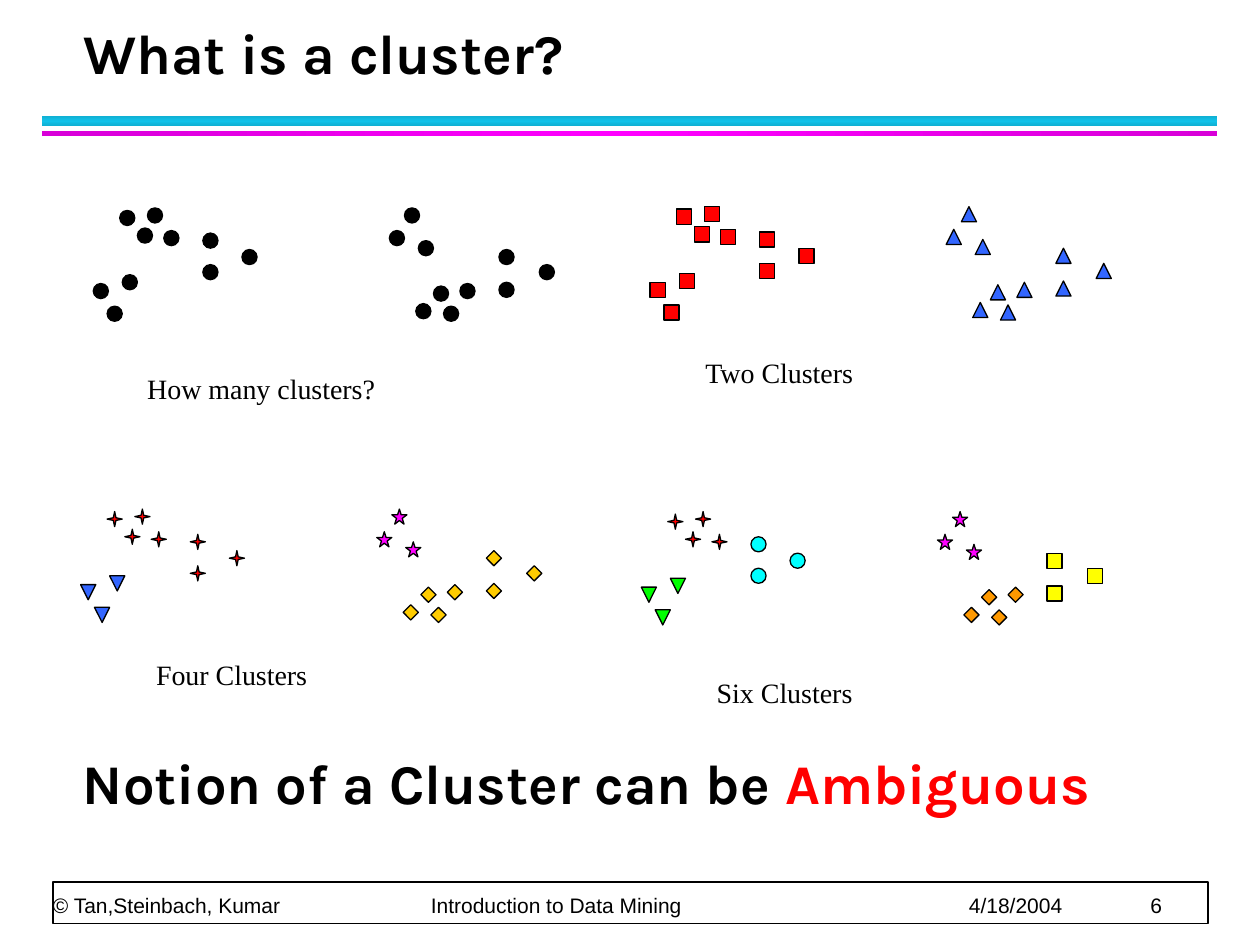
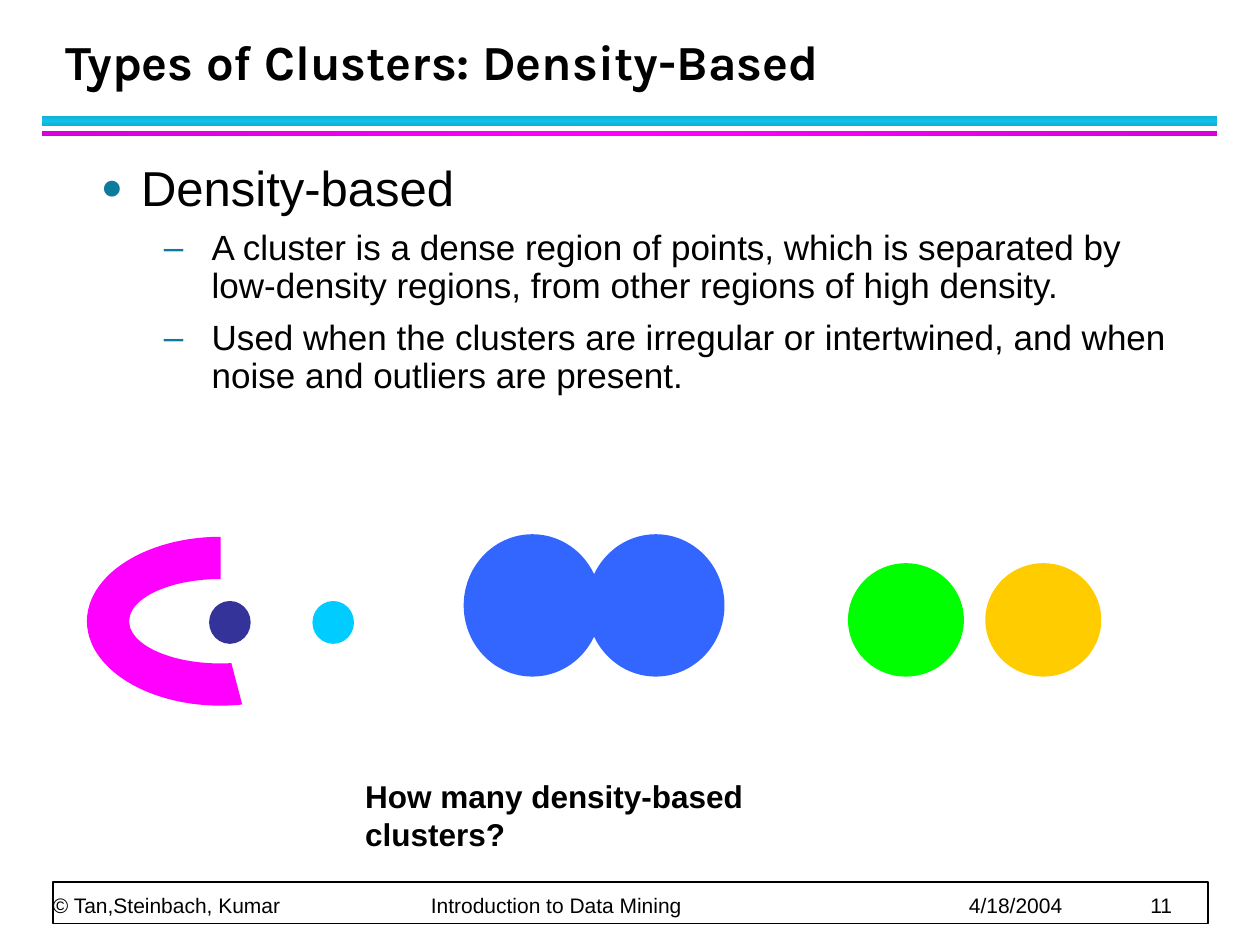
from copy import deepcopy

from lxml import etree
from pptx import Presentation
from pptx import util as u
from pptx.dml.color import RGBColor
from pptx.enum import shapes, text
from pptx.oxml.ns import qn

SCALE = 9144

THEME = {
    "black": "000000", "white": "FFFFFF", "red": "FF0000", "blue": "3366FF",
    "magenta": "FF00FF", "gold": "FFCC00", "orange": "FF9900", "yellow": "FFFF00",
    "green": "00FF00", "cyan": "00FFFF", "sky": "00CCFF", "navy": "333399",
    "bullet": "0C7B9C",
    "bands": {"cyan": ("10AFD2", "12C2E9"), "magenta": ("D800D8", "FF00FF")},
    "heading": {"name": "Karla", "size": 32, "bold": True},
    "small heading": {"name": "Karla", "size": 28, "bold": True},
    "caption": {"name": "Times New Roman", "size": 16},
    "question": {"name": "Arial", "size": 18, "bold": True},
    "footer": {"name": "Arial", "size": 12},
    "topic": {"name": "Arial", "size": 28, "bold": False},
    "detail": {"name": "Arial", "size": 20, "bold": False},
}

BANDS = [("cyan", (33, 92, 933, 8), 90), ("magenta", (33, 104, 933, 4), 0)]
FOOTER = ["© Tan,Steinbach, Kumar", "Introduction to Data Mining", "4/18/2004"]
FOOTER_STOPS = [300, 727, 871]

MARKER_SIZE = 12
POINT_SETS = {
    "left top": [(56, 18), (21, 2), (43, 0), (35, 16)],
    "left bottom": [(23, 53), (0, 60), (11, 78)],
    "left tail": [(87, 20), (118, 33), (87, 45)],
    "right bottom": [(291, 60), (256, 76), (278, 78), (270, 62)],
    "right top": [(258, 26), (235, 18), (247, 0)],
    "right tail": [(322, 59), (354, 45), (322, 33)],
}
KIND = shapes.MSO_SHAPE
DOT = (KIND.OVAL, "black", 0)
SQUARE = (KIND.RECTANGLE, "red", 0)
TRIANGLE = (KIND.ISOSCELES_TRIANGLE, "blue", 0)
SPARK = (KIND.STAR_4_POINT, "red", 0)
STAR = (KIND.STAR_5_POINT, "magenta", 0)
GOLD_DIAMOND = (KIND.DIAMOND, "gold", 0)
BLUE_EXTRACT = (KIND.FLOWCHART_EXTRACT, "blue", 180)
GREEN_TRIANGLE = (KIND.ISOSCELES_TRIANGLE, "green", 180)
CYAN_DOT = (KIND.OVAL, "cyan", 0)
ORANGE_DIAMOND = (KIND.DIAMOND, "orange", 0)
YELLOW_SQUARE = (KIND.RECTANGLE, "yellow", 0)

PANELS = [
    ("How many clusters?", (74, 165), (107, 290), [DOT] * 6),
    ("Four Clusters", (64, 404), (114, 517),
     [SPARK, BLUE_EXTRACT, SPARK, GOLD_DIAMOND, STAR, GOLD_DIAMOND]),
    ("Two Clusters", (516, 164), (550, 277), [SQUARE] * 3 + [TRIANGLE] * 3),
    ("Six Clusters", (509, 406), (559, 531),
     [SPARK, GREEN_TRIANGLE, CYAN_DOT, ORANGE_DIAMOND, STAR, YELLOW_SQUARE]),
]
CONCLUSION = [("Notion of a Cluster can be ", "black"), ("Ambiguous", "red")]

DENSITY_LIST = [
    (0, "Density-based"),
    (1, "A cluster is a dense region of points, which is separated by "
        "low-density regions, from other regions of high density."),
    (1, "Used when the clusters are irregular or intertwined, and when "
        "noise and outliers are present."),
]
LEVELS = [
    {"style": "topic", "indent": (32, -32), "before": 0, "bullet": "●", "percent": 75},
    {"style": "detail", "indent": (88, -38), "before": 8, "bullet": "–", "percent": 100},
]
REGIONS = [
    ("navy", (166, 477, 33, 34)), ("sky", (248, 477, 33, 34)),
    ("green", (673, 447, 92, 90)), ("gold", (782, 447, 92, 90)),
    ("blue", (368, 424, 109, 113)), ("blue", (466, 424, 109, 113)),
]
ARC_BOX = (108, 387, 134, 212)
ARC_ADJUSTMENTS = (99.247, 0.059, 0.25)


def px(value):
    return u.Emu(value * SCALE)


def rgb(value):
    return RGBColor.from_string(THEME.get(value, value))


def apply(target, values):
    for name, value in values.items():
        setattr(target, name, value)


def place(shape, box):
    apply(shape, dict(zip(("left", "top", "width", "height"), map(px, box))))


def add_run(paragraph, words, style, color="black"):
    run = paragraph.add_run()
    run.text = words
    apply(run.font, {**THEME[style], "size": u.Pt(THEME[style]["size"])})
    run.font.color.rgb = rgb(color)


def set_frame(shape, anchor, margins=(10, 5)):
    side, end = map(px, margins)
    apply(shape.text_frame, {
        "word_wrap": True, "auto_size": text.MSO_AUTO_SIZE.NONE,
        "vertical_anchor": anchor, "margin_left": side, "margin_right": side,
        "margin_top": end, "margin_bottom": end,
    })


def write_line(shape, runs, style, spacing=1.0, anchor=text.MSO_ANCHOR.TOP, margins=(10, 5)):
    set_frame(shape, anchor, margins)
    paragraph = shape.text_frame.paragraphs[0]
    apply(paragraph, {"alignment": text.PP_ALIGN.LEFT, "line_spacing": spacing})
    for words, color in runs:
        add_run(paragraph, words, style, color)
    return paragraph


def add_text(slide, box, runs, style, **options):
    return write_line(slide.shapes.add_textbox(*map(px, box)), runs, style, **options)


def add_figure(slide, kind, box, color, line=None, rotation=0):
    shape = slide.shapes.add_shape(kind, *map(px, box))
    shape.shadow.inherit = False
    shape.rotation = rotation
    shape.fill.solid()
    shape.fill.fore_color.rgb = rgb(color)
    if line:
        shape.line.color.rgb = rgb("black")
        shape.line.width = u.Pt(line)
    else:
        shape.line.fill.background()
    return shape


def add_band(slide, name, box, angle):
    band = add_figure(slide, KIND.RECTANGLE, box, "white")
    edge, middle = THEME["bands"][name]
    band.fill.gradient()
    band.fill.gradient_angle = angle
    stop_list = band._element.spPr.find(".//" + qn("a:gsLst"))
    stop_list.append(deepcopy(stop_list[0]))
    for index, (stop, color) in enumerate(zip(band.fill.gradient_stops, (edge, middle, edge))):
        stop.position = index / 2
        stop.color.rgb = rgb(color)


def add_footer(slide, number):
    add_figure(slide, KIND.RECTANGLE, (42, 700, 917, 33), "white", line=1)
    words = "\t".join(FOOTER + [str(number)])
    paragraph = add_text(slide, (42, 700, 915, 28), [(words, "black")], "footer",
                         spacing=1.67, anchor=text.MSO_ANCHOR.BOTTOM, margins=(0, 0))
    tab_list = etree.SubElement(paragraph._p.get_or_add_pPr(), qn("a:tabLst"))
    for stop in FOOTER_STOPS:
        etree.SubElement(tab_list, qn("a:tab"), pos=str(px(stop)), algn="l")


def start_slide(presentation, layout, number, title, box, style, spacing):
    slide = presentation.slides.add_slide(presentation.slide_layouts[layout])
    for band in BANDS:
        add_band(slide, *band)
    add_footer(slide, number)
    place(slide.shapes.title, box)
    write_line(slide.shapes.title, [(title, "black")], style, spacing, text.MSO_ANCHOR.BOTTOM)
    return slide


def add_panel(slide, caption, origin, caption_at, markers):
    for (kind, color, rotation), points in zip(markers, POINT_SETS.values()):
        for x, y in points:
            box = (origin[0] + x, origin[1] + y, MARKER_SIZE, MARKER_SIZE)
            add_figure(slide, kind, box, color, 0.75, rotation)
    add_text(slide, (*caption_at, 250, 37), [(caption, "black")], "caption")


def set_bullet(paragraph, level):
    properties = paragraph._p.get_or_add_pPr()
    for name, value in zip(("marL", "indent"), level["indent"]):
        properties.set(name, str(px(value)))
    color = etree.SubElement(properties, qn("a:buClr"))
    etree.SubElement(color, qn("a:srgbClr"), val=THEME["bullet"])
    etree.SubElement(properties, qn("a:buSzPct"), val=str(level["percent"] * 1000))
    etree.SubElement(properties, qn("a:buFont"), typeface="Arial")
    etree.SubElement(properties, qn("a:buChar"), char=level["bullet"])


def fill_list(body, items):
    place(body, (70, 125, 875, 559))
    set_frame(body, text.MSO_ANCHOR.TOP)
    for index, (depth, words) in enumerate(items):
        frame = body.text_frame
        paragraph = frame.add_paragraph() if index else frame.paragraphs[0]
        level = LEVELS[depth]
        apply(paragraph, {"level": depth, "line_spacing": 0.9,
                          "space_before": u.Pt(level["before"])})
        set_bullet(paragraph, level)
        add_run(paragraph, words, level["style"])


def build_cluster_slide(presentation):
    slide = start_slide(presentation, 5, 6, "What is a cluster?",
                        (56, 13, 906, 60), "heading", 1.12)
    for panel in PANELS:
        add_panel(slide, *panel)
    add_text(slide, (56, 592, 906, 60), CONCLUSION, "heading",
             spacing=1.12, anchor=text.MSO_ANCHOR.BOTTOM)


def build_density_slide(presentation):
    slide = start_slide(presentation, 1, 11, "Types of Clusters: Density-Based",
                        (42, 17, 906, 60), "small heading", 1.29)
    fill_list(slide.placeholders[1], DENSITY_LIST)
    arc = add_figure(slide, KIND.BLOCK_ARC, ARC_BOX, "magenta", rotation=270)
    for index, value in enumerate(ARC_ADJUSTMENTS):
        arc.adjustments[index] = value
    for color, box in REGIONS:
        add_figure(slide, KIND.OVAL, box, color)
    add_text(slide, (280, 612, 429, 40),
             [("How many density-based clusters?", "black")], "question")


def main():
    presentation = Presentation()
    apply(presentation, {"slide_width": px(1000), "slide_height": px(750)})
    build_cluster_slide(presentation)
    build_density_slide(presentation)
    presentation.save("out.pptx")


if __name__ == "__main__":
    main()
